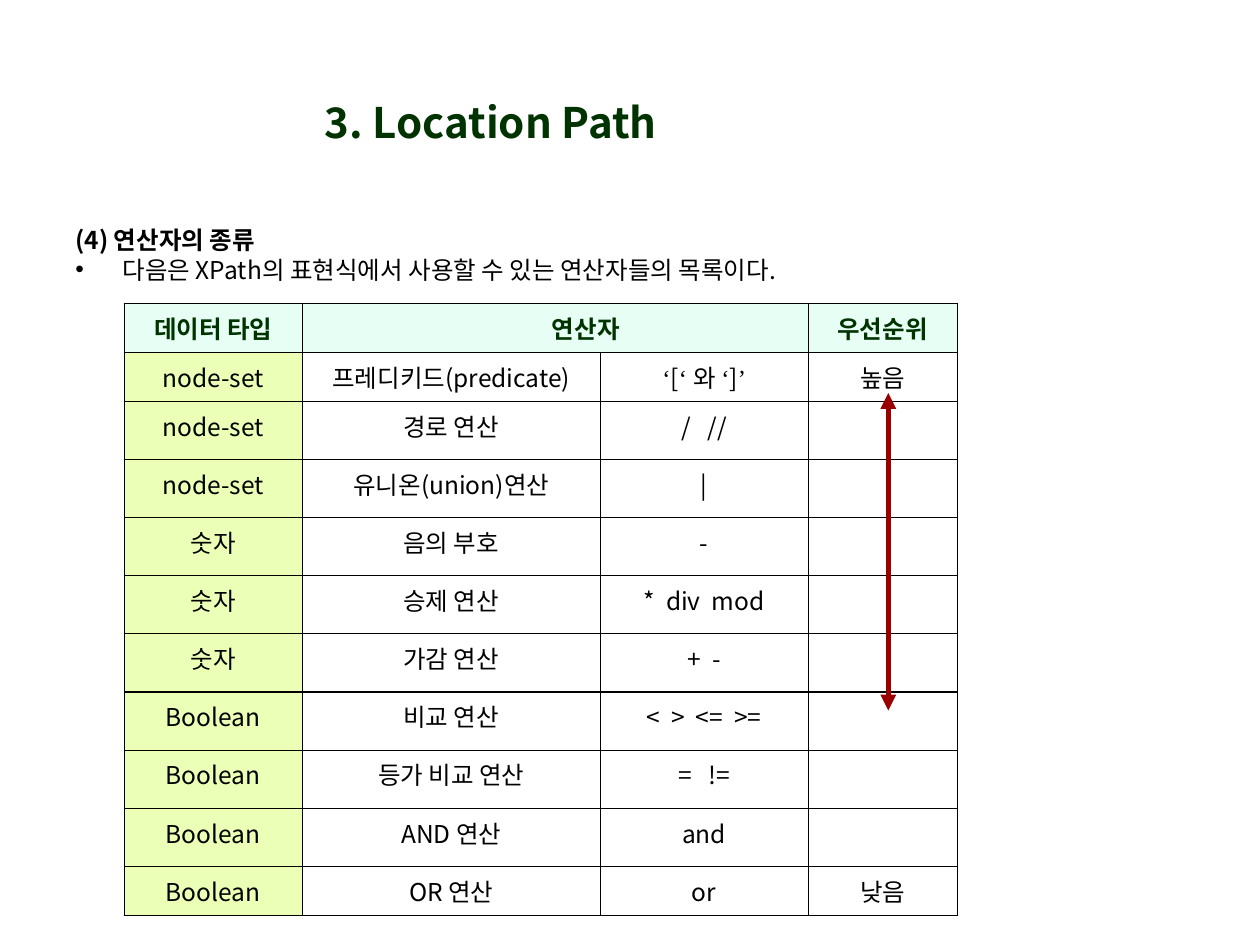
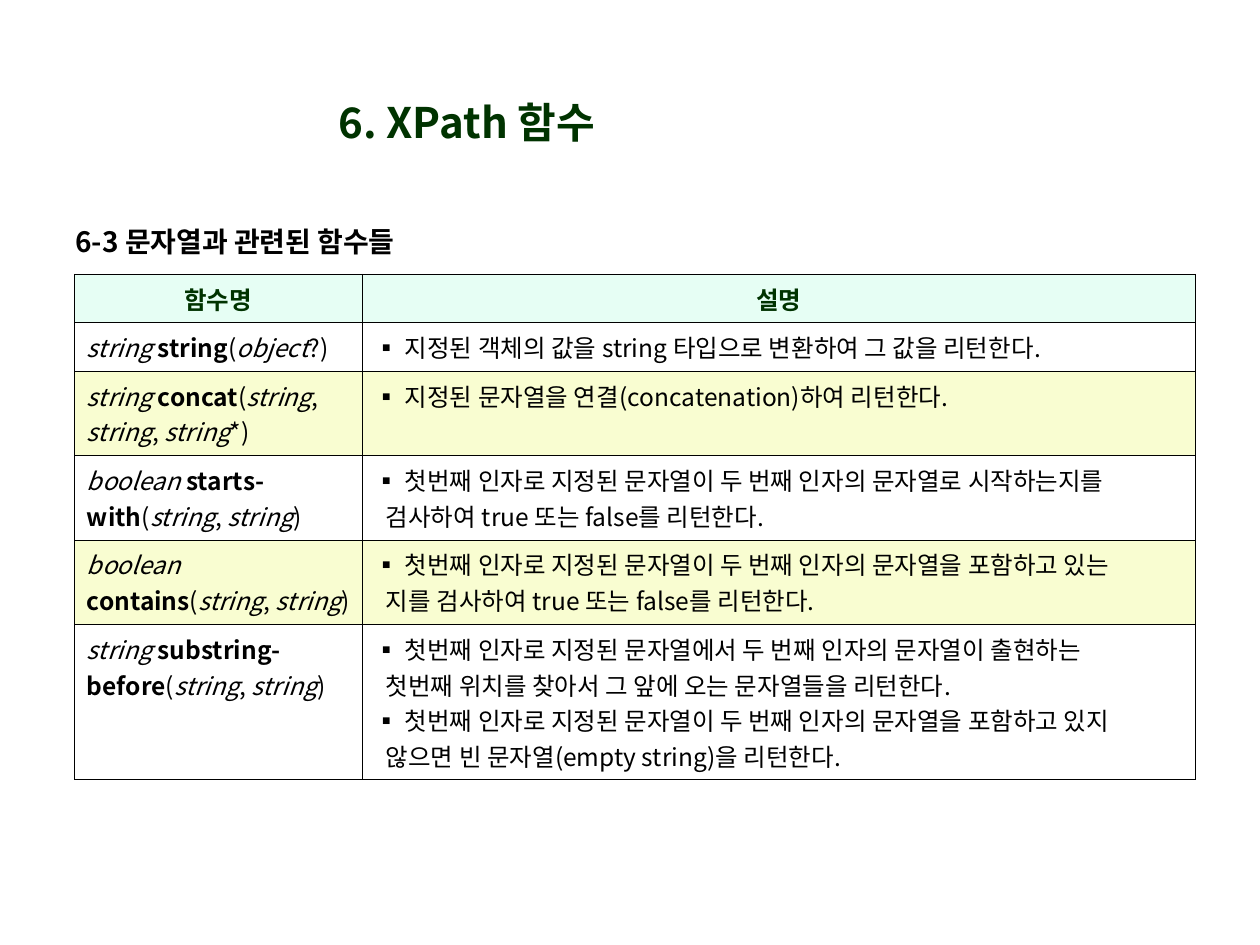
import pptx
import pptx.util
import pptx.dml.color
import pptx.enum.shapes
import pptx.enum.text
import pptx.oxml.ns
import lxml.etree

Pt = pptx.util.Pt
RGBColor = pptx.dml.color.RGBColor
PP_ALIGN = pptx.enum.text.PP_ALIGN
qn = pptx.oxml.ns.qn

DARK_GREEN = RGBColor(0x00, 0x33, 0x00)
BLACK = RGBColor(0x00, 0x00, 0x00)
DARK_RED = RGBColor(0x99, 0x00, 0x00)
MINT = RGBColor(0xE6, 0xFE, 0xF4)
LIME = RGBColor(0xEC, 0xFF, 0xB7)
CREAM = RGBColor(0xF9, 0xFD, 0xD1)
SANS = "Noto Sans CJK KR"
SERIF = "Times New Roman"
THIN, THICK = Pt(0.45), Pt(0.96)


def add_run(paragraph, text, size=14, color=BLACK, bold=False, italic=False, font=SANS):
    run = paragraph.add_run()
    run.text = text
    run.font.size = Pt(size)
    run.font.bold = bold
    run.font.italic = italic
    run.font.color.rgb = color
    run.font.name = font
    east_asian = lxml.etree.SubElement(run.font._element, qn("a:ea"))
    east_asian.set("typeface", font)


def add_grid(slide, left, top, widths, heights, thick_lines=()):
    frame = slide.shapes.add_table(len(heights), len(widths), Pt(left), Pt(top),
                                   Pt(sum(widths)), Pt(sum(heights)))
    table = frame.table
    table.first_row = False
    table.horz_banding = False
    for column, width in zip(table.columns, widths):
        column.width = Pt(width)
    for row_number, (row, height) in enumerate(zip(table.rows, heights)):
        row.height = Pt(height)
        upper = THICK if row_number in thick_lines else THIN
        lower = THICK if row_number + 1 in thick_lines else THIN
        for cell in row.cells:
            properties = cell._tc.get_or_add_tcPr()
            for side, width in (("L", THIN), ("R", THIN), ("T", upper), ("B", lower)):
                line = lxml.etree.SubElement(properties, qn("a:ln" + side), w=str(int(width)))
                solid = lxml.etree.SubElement(line, qn("a:solidFill"))
                lxml.etree.SubElement(solid, qn("a:srgbClr"), val=str(BLACK))
            cell.fill.background()
            if row_number == 0:
                cell.fill.solid()
                cell.fill.fore_color.rgb = MINT
                cell.text_frame.paragraphs[0].alignment = PP_ALIGN.CENTER
    return table


presentation = pptx.Presentation()
presentation.slide_width = Pt(720)
presentation.slide_height = Pt(540)

slides = []
bodies = []
for title_text, title_left, heading, heading_size, body_height in (
    ("3. Location Path", 135.4, "(4) 연산자의 종류", 14, 47.5),
    ("6. XPath 함수", 121.7, "6-3 문자열과 관련된 함수들", 16, 31),
):
    slide = presentation.slides.add_slide(presentation.slide_layouts[5])
    title = slide.shapes.title
    title.left, title.top = Pt(title_left), Pt(24.5)
    title.width, title.height = Pt(290), Pt(90)
    title.text_frame.vertical_anchor = pptx.enum.text.MSO_ANCHOR.MIDDLE
    title.text_frame.paragraphs[0].alignment = PP_ALIGN.CENTER
    add_run(title.text_frame.paragraphs[0], title_text, 24, DARK_GREEN, bold=True)

    body = slide.shapes.add_textbox(Pt(36), Pt(126), Pt(653), Pt(body_height))
    body.text_frame.word_wrap = True
    body.text_frame.margin_top = Pt(6)
    paragraph = body.text_frame.paragraphs[0]
    paragraph.line_spacing = 0.8
    add_run(paragraph, heading, heading_size, bold=True)
    slides.append(slide)
    bodies.append(body)

operator_slide, function_slide = slides

paragraph = bodies[0].text_frame.add_paragraph()
paragraph.line_spacing = 0.8
paragraph.space_before = Pt(3.5)
properties = paragraph._p.get_or_add_pPr()
properties.set("marL", str(int(Pt(27))))
properties.set("indent", str(int(Pt(-27))))
lxml.etree.SubElement(properties, qn("a:buFont"), typeface="Arial")
lxml.etree.SubElement(properties, qn("a:buChar"), char="•")
add_run(paragraph, "다음은 XPath의 표현식에서 사용할 수 있는 연산자들의 목록이다.")

operators = [
    ("node-set", "프레디키드(predicate)", "‘[‘ 와 ‘]’", "높음"),
    ("node-set", "경로 연산", "/   //", ""),
    ("node-set", "유니온(union)연산", "|", ""),
    ("숫자", "음의 부호", "-", ""),
    ("숫자", "승제 연산", "*  div  mod", ""),
    ("숫자", "가감 연산", "+  -", ""),
    ("Boolean", "비교 연산", "<  >  <=  >=", ""),
    ("Boolean", "등가 비교 연산", "=   !=", ""),
    ("Boolean", "AND 연산", "and", ""),
    ("Boolean", "OR 연산", "or", "낮음"),
]
table = add_grid(operator_slide, 70.9, 173.3, [102, 170, 119, 85],
                 [28, 28] + [33.25] * 8 + [28], thick_lines=(4, 7, 11))
table.cell(0, 1).merge(table.cell(0, 2))
table.cell(0, 1).margin_left = Pt(42)
for column_number, text in ((0, "데이터 타입"), (1, "연산자"), (3, "우선순위")):
    paragraph = table.cell(0, column_number).text_frame.paragraphs[0]
    add_run(paragraph, text, color=DARK_GREEN, bold=True)
for row_number, operator in enumerate(operators, 1):
    type_cell = table.cell(row_number, 0)
    type_cell.fill.solid()
    type_cell.fill.fore_color.rgb = LIME
    for column_number, text in enumerate(operator):
        paragraph = table.cell(row_number, column_number).text_frame.paragraphs[0]
        paragraph.alignment = PP_ALIGN.CENTER
        if "‘" in text:
            for piece, font in (("‘", SERIF), ("[", SANS), ("‘ ", SERIF), ("와 ", SANS),
                                ("‘", SERIF), ("]", SANS), ("’", SERIF)):
                add_run(paragraph, piece, font=font)
        elif text:
            add_run(paragraph, text)

arrow = operator_slide.shapes.add_connector(pptx.enum.shapes.MSO_CONNECTOR.STRAIGHT,
                                            Pt(507.6), Pt(224.6), Pt(507.6), Pt(406))
arrow.line.color.rgb = DARK_RED
arrow.line.width = Pt(3)
for end in ("a:headEnd", "a:tailEnd"):
    lxml.etree.SubElement(arrow.line._get_or_add_ln(), qn(end), type="triangle")
lxml.etree.SubElement(arrow._element.spPr, qn("a:effectLst"))

functions = [
    ("string", "string", ["object"], "?",
     ["▪ 지정된 객체의 값을 string 타입으로 변환하여 그 값을 리턴한다."]),
    ("string", "concat", ["string"] * 3, "*",
     ["▪ 지정된 문자열을 연결(concatenation)하여 리턴한다."]),
    ("boolean", "starts-with", ["string"] * 2, "",
     ["▪ 첫번째 인자로 지정된 문자열이 두 번째 인자의 문자열로 시작하는지를",
      "검사하여 true 또는 false를 리턴한다."]),
    ("boolean", "contains", ["string"] * 2, "",
     ["▪ 첫번째 인자로 지정된 문자열이 두 번째 인자의 문자열을 포함하고 있는",
      "지를 검사하여 true 또는 false를 리턴한다."]),
    ("string", "substring-before", ["string"] * 2, "",
     ["▪ 첫번째 인자로 지정된 문자열에서 두 번째 인자의 문자열이 출현하는",
      "첫번째 위치를 찾아서 그 앞에 오는 문자열들을 리턴한다.",
      "▪ 첫번째 인자로 지정된 문자열이 두 번째 인자의 문자열을 포함하고 있지",
      "않으면 빈 문자열(empty string)을 리턴한다."]),
]
table = add_grid(function_slide, 42.5, 156.7, [164.5, 476], [27.75, 27.75, 48.25, 48.25, 48.25, 88.75])
for column_number, text in enumerate(("함수명", "설명")):
    paragraph = table.cell(0, column_number).text_frame.paragraphs[0]
    add_run(paragraph, text, color=DARK_GREEN, bold=True)
for row_number, (result, name, arguments, suffix, lines) in enumerate(functions, 1):
    signature_cell, description_cell = table.rows[row_number].cells
    if row_number % 2 == 0:
        for cell in (signature_cell, description_cell):
            cell.fill.solid()
            cell.fill.fore_color.rgb = CREAM
    paragraph = signature_cell.text_frame.paragraphs[0]
    add_run(paragraph, result + " ", italic=True)
    add_run(paragraph, name, bold=True)
    for argument_number, argument in enumerate(arguments):
        add_run(paragraph, ", " if argument_number else "(")
        add_run(paragraph, argument, italic=True)
    add_run(paragraph, suffix + ")")
    text_frame = description_cell.text_frame
    for line_number, text in enumerate(lines):
        paragraph = text_frame.add_paragraph() if line_number else text_frame.paragraphs[0]
        if not text.startswith("▪"):
            paragraph._p.get_or_add_pPr().set("marL", str(int(Pt(6.3))))
        add_run(paragraph, text)

presentation.save("out.pptx")
